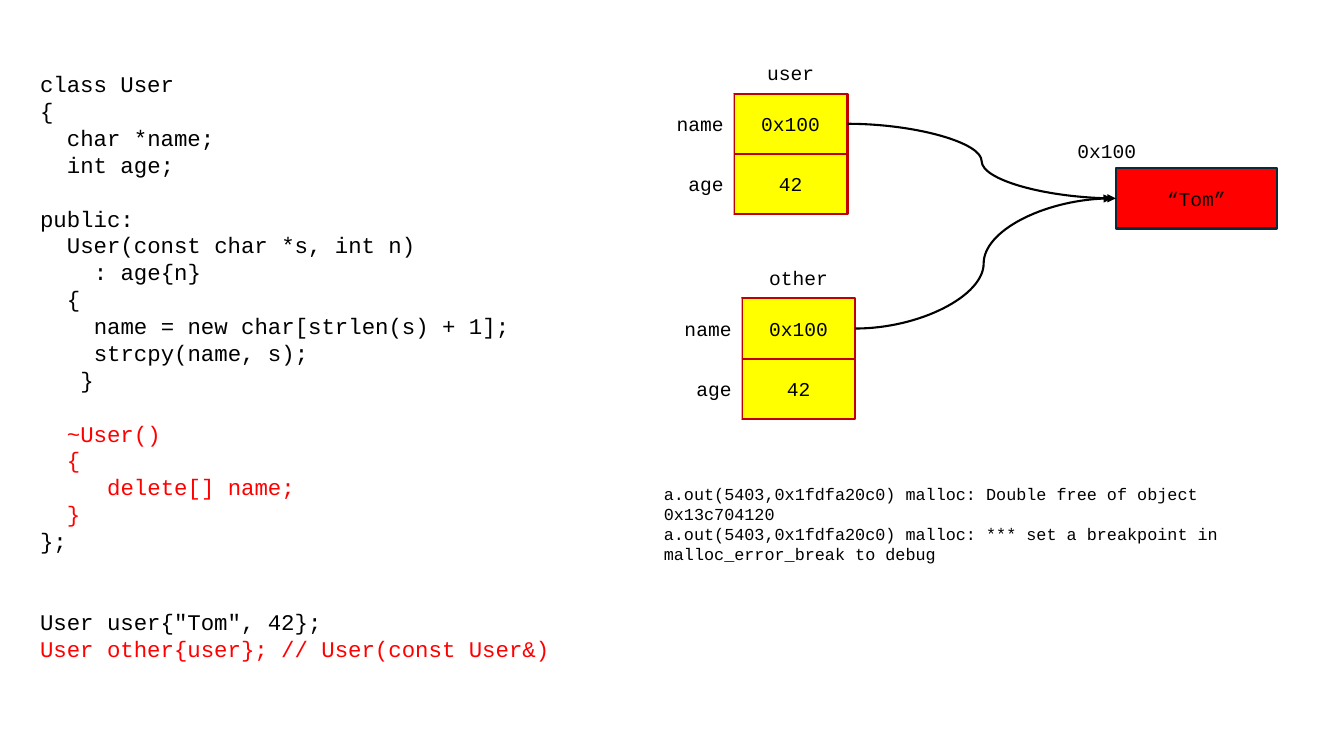
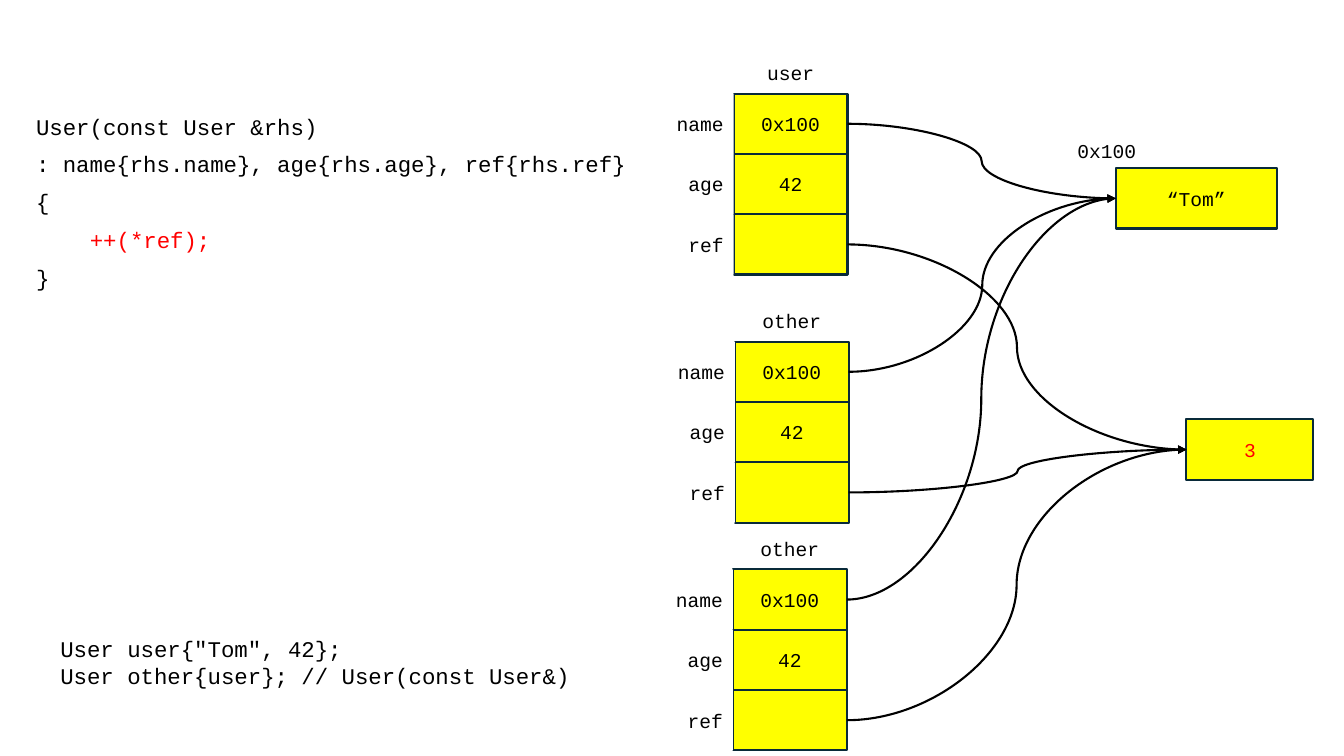
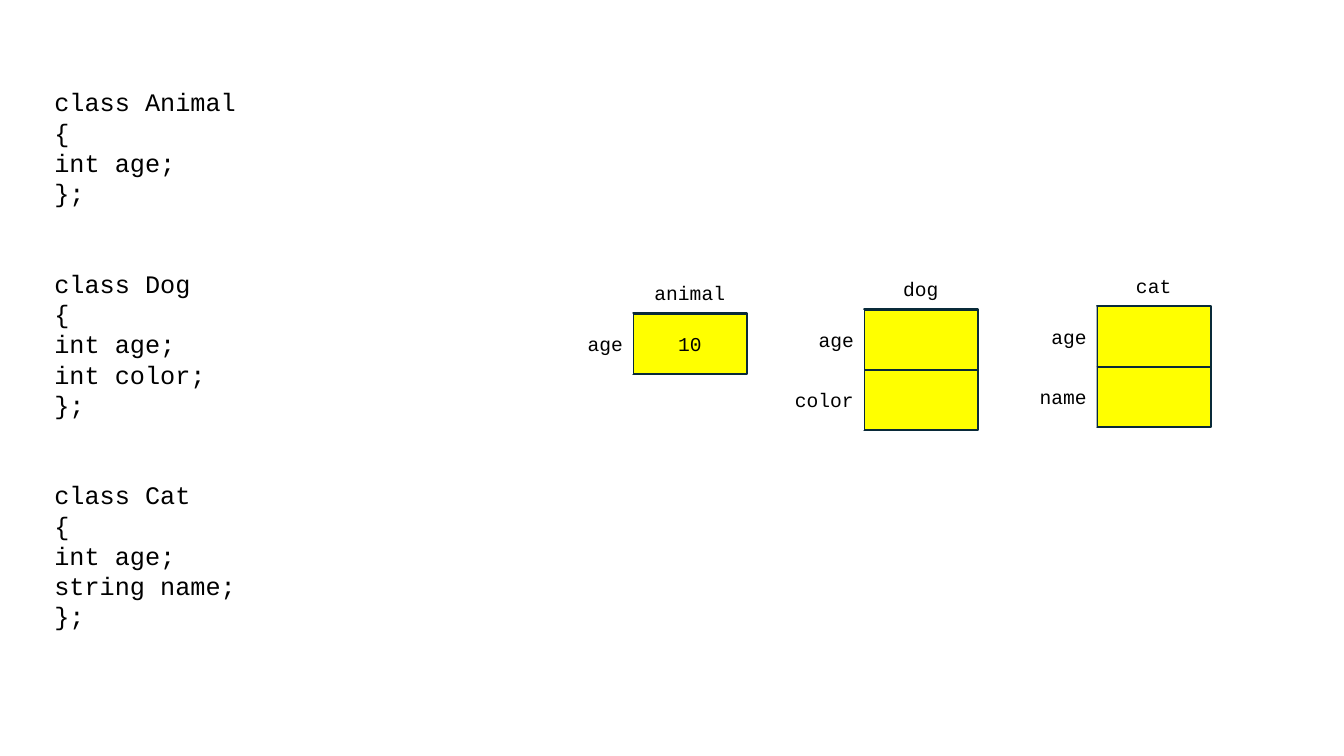
import pptx
import pptx.util
import pptx.dml.color
import pptx.enum.shapes
import pptx.enum.text
from lxml import etree

Cm = pptx.util.Cm
Pt = pptx.util.Pt
RGBColor = pptx.dml.color.RGBColor
PP_ALIGN = pptx.enum.text.PP_ALIGN
MSO_ANCHOR = pptx.enum.text.MSO_ANCHOR
RECTANGLE = pptx.enum.shapes.MSO_SHAPE.RECTANGLE
CURVE = pptx.enum.shapes.MSO_CONNECTOR.CURVE

BLACK = RGBColor(0x00, 0x00, 0x00)
WHITE = RGBColor(0xFF, 0xFF, 0xFF)
RED = RGBColor(0xFF, 0x00, 0x00)
DARK_RED = RGBColor(0xC0, 0x00, 0x00)
YELLOW = RGBColor(0xFF, 0xFF, 0x00)
NAVY = RGBColor(0x09, 0x2A, 0x39)

FONT = "Courier New"
LABEL_SIZE = 14
LINE_HEIGHT = 1.2    # of the font size
CHAR_WIDTH = 0.6     # of the font size
CELL_W, CELL_H = 2.87, 1.52
CAPTION_H = 0.86

USER_CLASS = """\
class User
{
  char *name;
  int age;

public:
  User(const char *s, int n)
    : age{n}
  {
    name = new char[strlen(s) + 1];
    strcpy(name, s);
   }

"""
DESTRUCTOR = """\
  ~User()
  {
     delete[] name;
  }
"""
USER_OBJECT = 'User user{"Tom", 42};\n'
OTHER_OBJECT = "User other{user}; // User(const User&)\n"
MALLOC_ERROR = """\
a.out(5403,0x1fdfa20c0) malloc: Double free of object 0x13c704120
a.out(5403,0x1fdfa20c0) malloc: *** set a breakpoint in malloc_error_break to debug
"""
COPY_CONSTRUCTOR = """\
User(const User &rhs)
: name{rhs.name}, age{rhs.age}, ref{rhs.ref}
{
"""
ANIMAL_CLASSES = """\
class Animal
{
int age;
};


class Dog
{
int age;
int color;
};


class Cat
{
int age;
string name;
};
"""


def style(p, size, color):
    for r in p.runs:
        r.font.name = FONT
        r.font.size = Pt(size)
        r.font.color.rgb = color


def add_text(slide, x, y, w, h):
    sp = slide.shapes.add_textbox(Cm(x), Cm(y), Cm(w), Cm(h))
    sp.text_frame.word_wrap = True
    return sp.text_frame


def add_code(slide, x, y, w, h, parts, size=16, spacing=None):
    """Set (code, colour) parts; blank lines become spacing, leading spaces indents."""
    tf = add_text(slide, x, y, w, h)
    spacing = spacing or size * LINE_HEIGHT
    p, blanks = None, 0
    for code, color in parts:
        for line in code.splitlines():
            if not line:
                blanks += 1
                continue
            p = tf.add_paragraph() if p else tf.paragraphs[0]
            p.text = line.lstrip()
            p.line_spacing = Pt(spacing)
            p.space_before = Pt(blanks * spacing)
            indent = len(line) - len(p.text)
            if indent:
                p._p.get_or_add_pPr().set("marL", str(Pt(indent * CHAR_WIDTH * size)))
            style(p, size, color)
            blanks = 0


def add_caption(slide, x, y, w, text, align):
    p = add_text(slide, x, y, w, CAPTION_H).paragraphs[0]
    p.text = text
    p.alignment = align
    style(p, LABEL_SIZE, BLACK)


def add_cell(slide, x, y, w, text, fill=YELLOW, line=NAVY, color=BLACK,
             align=PP_ALIGN.CENTER):
    sp = slide.shapes.add_shape(RECTANGLE, Cm(x), Cm(y), Cm(w), Cm(CELL_H))
    sp.shadow.inherit = False
    sp.fill.solid()
    sp.fill.fore_color.rgb = fill
    if line is None:
        sp.line.fill.background()
    else:
        sp.line.color.rgb = line
        sp.line.width = Pt(1.5)
    tf = sp.text_frame
    tf.vertical_anchor = MSO_ANCHOR.MIDDLE
    p = tf.paragraphs[0]
    p.alignment = align
    if text:
        p.text = text
        style(p, LABEL_SIZE, color)
    return sp


def add_record(slide, x, y, caption, fields, line=NAVY, label_w=2.69):
    """Draw a captioned stack of fields; return its value cells by field name."""
    tops = [y + i * CELL_H for i in range(len(fields))]
    cells = {name: add_cell(slide, x, top, CELL_W, value, line=line)
             for top, (name, value) in zip(tops, fields.items())}
    for top, name in zip(tops, fields):
        add_cell(slide, x - label_w, top, label_w, name, WHITE, None,
                 align=PP_ALIGN.RIGHT)
    add_caption(slide, x, y - 0.94, CELL_W, caption, PP_ALIGN.CENTER)
    return cells


def add_string(slide, x, y, fill):
    """Draw the string on the heap with its address above."""
    sp = add_cell(slide, x, y, 4.06, "“Tom”", fill)
    add_caption(slide, x - 1.22, y - CAPTION_H, 3.5, "0x100", PP_ALIGN.LEFT)
    return sp


def add_pointer(slide, source, target, gap=0):
    """Curve from the right side of source to the left side of target."""
    c = slide.shapes.add_connector(
        CURVE, source.left + source.width, source.top + source.height // 2,
        target.left - Cm(gap), target.top + target.height // 2)
    c.begin_connect(source, 3)
    if not gap:
        c.end_connect(target, 1)
    c.line.color.rgb = BLACK
    c.line.width = Pt(1.5)
    ns = "{http://schemas.openxmlformats.org/drawingml/2006/main}"
    etree.SubElement(c.line._get_or_add_ln(), ns + "tailEnd", type="triangle")
    etree.SubElement(c._element.spPr, ns + "effectLst")


def double_free_slide(slide):
    add_code(slide, 0.76, 1.65, 16.94, 15.29, [
        (USER_CLASS, BLACK), (DESTRUCTOR, RED), ("};\n\n\n" + USER_OBJECT, BLACK),
        (OTHER_OBJECT, RED)])
    fields = {"name": "0x100", "age": "42"}
    user = add_record(slide, 18.49, 2.36, "user", fields, DARK_RED)
    other = add_record(slide, 18.69, 7.52, "other", fields, DARK_RED)
    string = add_string(slide, 28.12, 4.24, RED)
    add_pointer(slide, user["name"], string)
    add_pointer(slide, other["name"], string, gap=0.1)
    add_code(slide, 16.48, 12.06, 16.94, 2.31, [(MALLOC_ERROR, BLACK)], 12)


def reference_count_slide(slide):
    add_code(slide, 1.27, 15.88, 16.94, 1.63, [(USER_OBJECT + OTHER_OBJECT, BLACK)])
    add_code(slide, 0.66, 2.44, 16.94, 4.98, [
        (COPY_CONSTRUCTOR, BLACK), ("    ++(*ref);", RED), ("}", BLACK)], spacing=27)
    string = add_string(slide, 28.12, 4.24, YELLOW)
    counter = add_cell(slide, 29.9, 10.57, 3.2, "3", color=RED)
    fields = {"name": "0x100", "age": "42", "ref": ""}
    for x, y, caption in ((18.49, 2.36, "user"), (18.52, 8.61, "other"),
                          (18.47, 14.35, "other")):
        cells = add_record(slide, x, y, caption, fields)
        add_pointer(slide, cells["name"], string)
        add_pointer(slide, cells["ref"], counter)


def animals_slide(slide):
    add_code(slide, 1.12, 2.06, 11.53, 14.1, [(ANIMAL_CLASSES, BLACK)], 18)
    for x, y, caption, fields in (
            (15.95, 7.9, "animal", {"age": "10"}),
            (21.77, 7.8, "dog", {"age": "", "color": ""}),
            (27.64, 7.72, "cat", {"age": "", "name": ""})):
        add_record(slide, x, y, caption, fields, label_w=2.59)


def main():
    prs = pptx.Presentation()
    prs.slide_width, prs.slide_height = Cm(33.87), Cm(19.05)
    blank = prs.slide_layouts[6]
    for build in (double_free_slide, reference_count_slide, animals_slide):
        build(prs.slides.add_slide(blank))
    prs.save("out.pptx")


if __name__ == "__main__":
    main()
